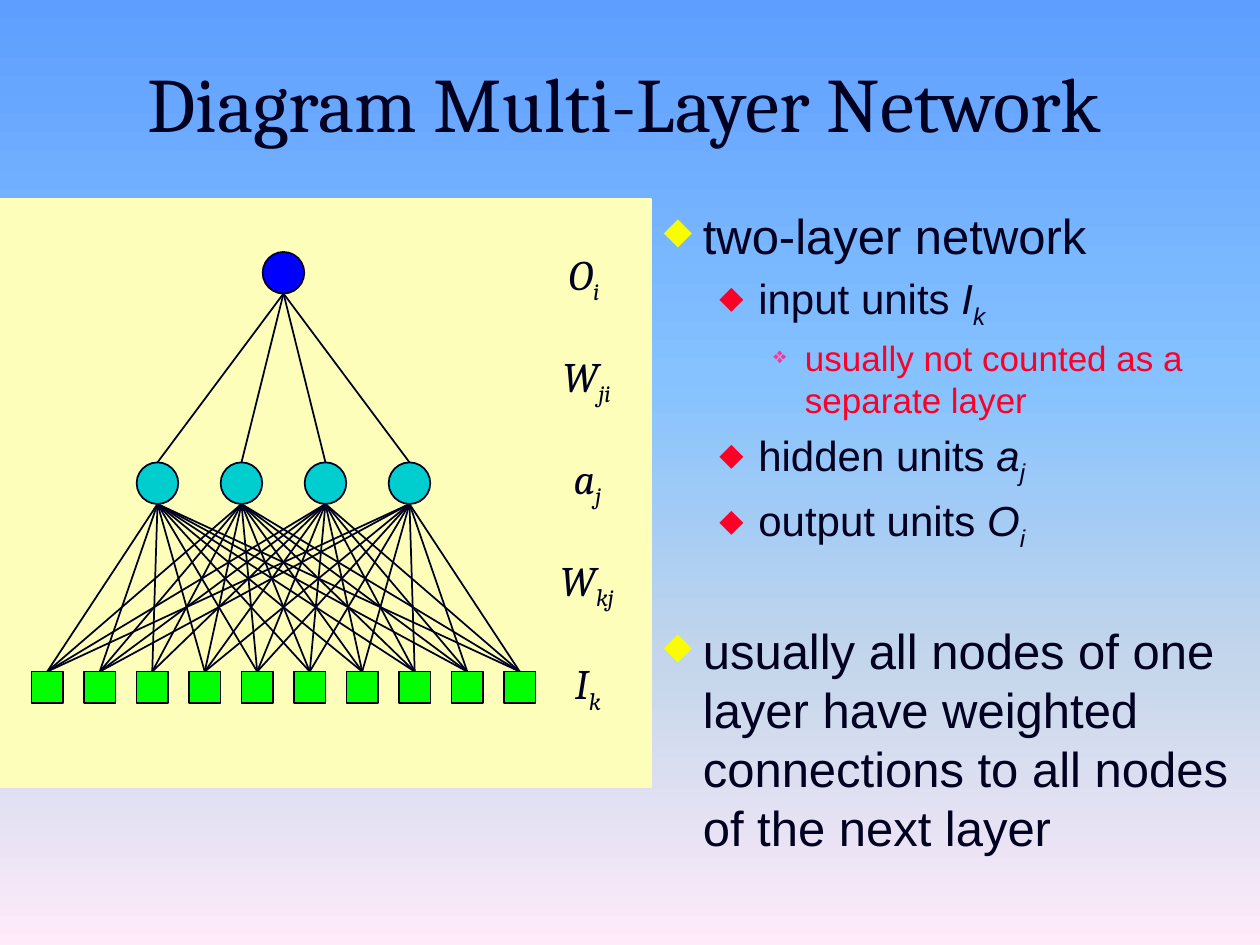
from lxml import etree
from pptx import Presentation
from pptx.dml.color import RGBColor
from pptx.enum.shapes import MSO_CONNECTOR, MSO_SHAPE
from pptx.enum.text import MSO_ANCHOR, MSO_AUTO_SIZE, PP_ALIGN
from pptx.oxml.ns import qn
from pptx.util import Inches, Pt

INK = RGBColor(0x00, 0x00, 0x20)
CREAM = RGBColor(0xFC, 0xFE, 0xB9)
BLUE = RGBColor(0x00, 0x00, 0xFF)
TEAL = RGBColor(0x00, 0xCE, 0xCE)
GREEN = RGBColor(0x00, 0xFF, 0x00)
YELLOW = RGBColor(0xFA, 0xFD, 0x00)
RED = RGBColor(0xFC, 0x01, 0x28)
PINK = RGBColor(0xFF, 0x33, 0x99)

SKY = [(0, "5E9EFF"), (40, "85C2FF"), (70, "C4D6EB"), (100, "FFEBFA")]
TITLE = "Diagram Multi-Layer Network"

LEVELS = [
    dict(indent=0.31, hang=0.31, bullet="◆", bullet_color=YELLOW, bullet_size=75, size=28, color=INK),
    dict(indent=0.75, hang=0.31, bullet="◆", bullet_color=RED, bullet_size=75, size=24, color=INK),
    dict(indent=1.12, hang=0.25, bullet="❖", bullet_color=PINK, bullet_size=65, size=20, color=RED),
]
PROPORTIONAL_GAP = ("spcPct", 20000)
SECTION_GAP = ("spcPts", 3900)
POINTS = [
    (0, "two-layer network", "", "", PROPORTIONAL_GAP),
    (1, "input units ", "I", "k", PROPORTIONAL_GAP),
    (2, "usually not counted as a separate layer", "", "", PROPORTIONAL_GAP),
    (1, "hidden units ", "a", "j", PROPORTIONAL_GAP),
    (1, "output units ", "O", "i", PROPORTIONAL_GAP),
    (0, "usually all nodes of one layer have weighted connections "
        "to all nodes of the next layer", "", "", SECTION_GAP),
]

LABEL_CENTER = 4.67
LABELS = [
    ("O", "i", 1.92, 0.51),
    ("W", "ji", 2.73, 0.6),
    ("a", "j", 3.54, 0.43),
    ("W", "kj", 4.35, 0.64),
    ("I", "k", 5.17, 0.41),
]

NODE, INPUT = 0.33, 0.25
OUTPUT_X, OUTPUT_TOP = 2.25, 2
HIDDEN_TOP, INPUT_TOP = 3.67, 5.33
HIDDEN_XS = [1.25 + i * 2 / 3 for i in range(4)]
INPUT_XS = [0.375 + i * 5 / 12 for i in range(10)]
UNLINKED = {(2, 3)}


def paint(shape, fill, line):
    shape.shadow.inherit = False
    shape.fill.solid()
    shape.fill.fore_color.rgb = fill
    shape.line.color.rgb = line
    shape.line.width = Pt(1)


def add_unit(shapes, kind, center_x, top, side, fill):
    unit = shapes.add_shape(kind, Inches(center_x - side / 2), Inches(top), Inches(side), Inches(side))
    paint(unit, fill, INK)


def add_weight(shapes, lower, upper):
    weight = shapes.add_connector(MSO_CONNECTOR.STRAIGHT, *map(Inches, lower + upper))
    weight.line.color.rgb = INK
    weight.line.width = Pt(1)
    etree.SubElement(weight.element.spPr, qn("a:effectLst"))


def add_text_box(shapes, left, top, width, height, wrap=True):
    box = shapes.add_textbox(Inches(left), Inches(top), Inches(width), Inches(height))
    box.text_frame.word_wrap = wrap
    return box.text_frame


def add_run(paragraph, text, size, face, color, italic=False, subscript=False):
    run = paragraph.add_run()
    run.text = text
    run.font.size = Pt(size)
    run.font.name = face
    run.font.color.rgb = color
    run.font.italic = italic
    if subscript:
        run.font._element.set("baseline", "-25000")


def add_symbol(paragraph, letter, index, size, face):
    add_run(paragraph, letter, size, face, INK, italic=True)
    add_run(paragraph, index, size, face, INK, italic=True, subscript=True)


def set_bullet(paragraph, level, gap):
    props = paragraph._p.get_or_add_pPr()
    props.set("marL", str(Inches(level["indent"])))
    props.set("indent", str(-Inches(level["hang"])))
    gap_tag, gap_value = gap
    before = etree.SubElement(props, qn("a:spcBef"))
    etree.SubElement(before, qn("a:" + gap_tag), val=str(gap_value))
    color = etree.SubElement(props, qn("a:buClr"))
    etree.SubElement(color, qn("a:srgbClr"), val=str(level["bullet_color"]))
    etree.SubElement(props, qn("a:buSzPct"), val=str(level["bullet_size"] * 1000))
    etree.SubElement(props, qn("a:buChar"), char=level["bullet"])


def add_background(slide):
    fill = slide.background.fill
    fill.gradient()
    fill.gradient_angle = 270
    stops = slide.element.find(".//" + qn("a:gsLst"))
    for stop in list(stops):
        stops.remove(stop)
    for position, color in SKY:
        stop = etree.SubElement(stops, qn("a:gs"), pos=str(position * 1000))
        etree.SubElement(stop, qn("a:srgbClr"), val=color)


def add_network(shapes):
    panel = shapes.add_shape(MSO_SHAPE.RECTANGLE, 0, Inches(1.58), Inches(5.17), Inches(4.67))
    paint(panel, CREAM, CREAM)
    for hidden_index, hidden_x in enumerate(HIDDEN_XS):
        add_weight(shapes, (hidden_x, HIDDEN_TOP), (OUTPUT_X, OUTPUT_TOP + NODE))
        for input_index, input_x in enumerate(INPUT_XS):
            if (input_index, hidden_index) not in UNLINKED:
                add_weight(shapes, (input_x, INPUT_TOP), (hidden_x, HIDDEN_TOP + NODE))
    add_unit(shapes, MSO_SHAPE.OVAL, OUTPUT_X, OUTPUT_TOP, NODE, BLUE)
    hidden_layer = shapes.add_group_shape().shapes
    for x in HIDDEN_XS:
        add_unit(hidden_layer, MSO_SHAPE.OVAL, x, HIDDEN_TOP, NODE, TEAL)
    input_layer = shapes.add_group_shape().shapes
    for x in INPUT_XS:
        add_unit(input_layer, MSO_SHAPE.RECTANGLE, x, INPUT_TOP, INPUT, GREEN)
    for letter, index, top, width in LABELS:
        frame = add_text_box(shapes, LABEL_CENTER - width / 2, top, width, 0.5, wrap=False)
        frame.auto_size = MSO_AUTO_SIZE.SHAPE_TO_FIT_TEXT
        add_symbol(frame.paragraphs[0], letter, index, 24, "Cambria")


def add_title(shapes):
    frame = add_text_box(shapes, 0.25, 0.37, 9.42, 0.88)
    frame.vertical_anchor = MSO_ANCHOR.MIDDLE
    heading = frame.paragraphs[0]
    heading.alignment = PP_ALIGN.CENTER
    add_run(heading, TITLE, 44, "Cambria", INK)


def add_points(shapes):
    frame = add_text_box(shapes, 5.17, 1.58, 4.75, 5.08)
    for number, (depth, text, letter, index, gap) in enumerate(POINTS):
        point = frame.add_paragraph() if number else frame.paragraphs[0]
        level = LEVELS[depth]
        point.level = depth
        set_bullet(point, level, gap)
        add_run(point, text, level["size"], "Arial", level["color"])
        if letter:
            add_symbol(point, letter, index, level["size"], "Arial")


def main():
    deck = Presentation()
    deck.slide_width, deck.slide_height = Inches(10), Inches(7.5)
    slide = deck.slides.add_slide(deck.slide_layouts[6])
    add_background(slide)
    add_network(slide.shapes)
    add_title(slide.shapes)
    add_points(slide.shapes)
    deck.save("out.pptx")


if __name__ == "__main__":
    main()
